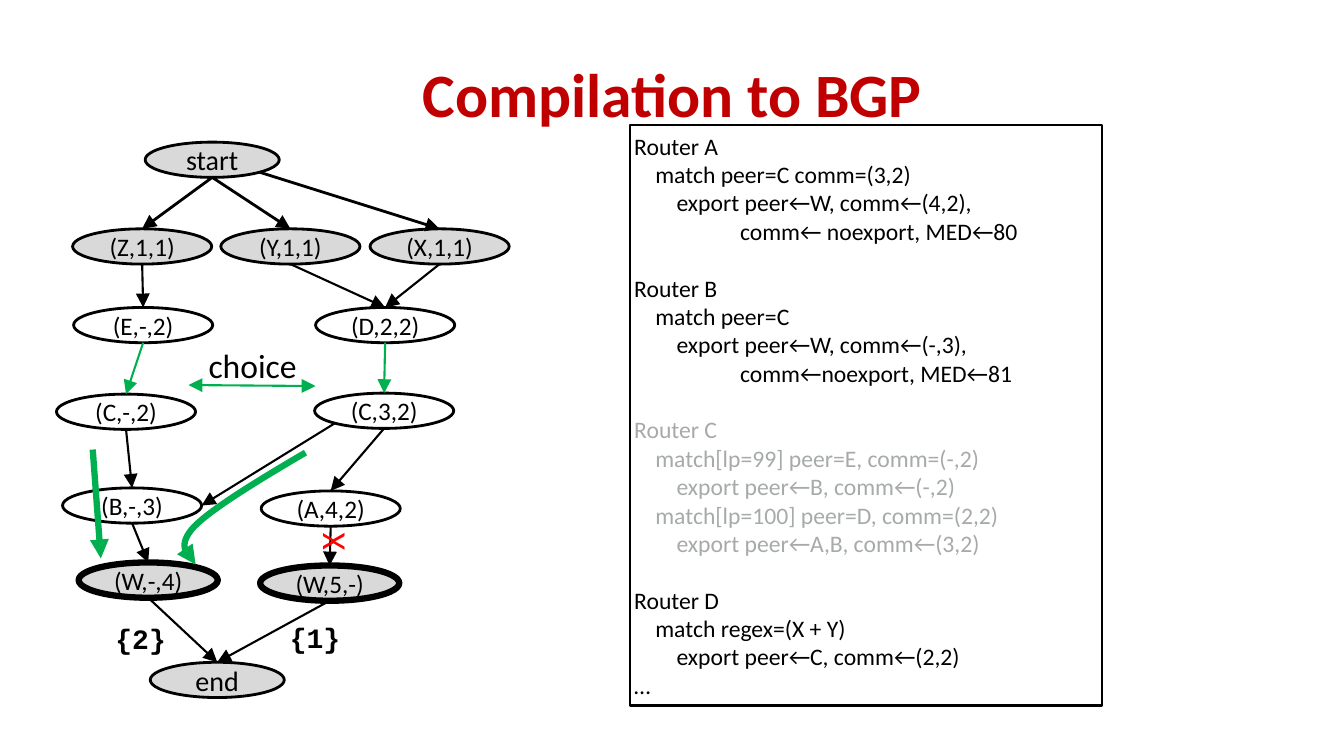
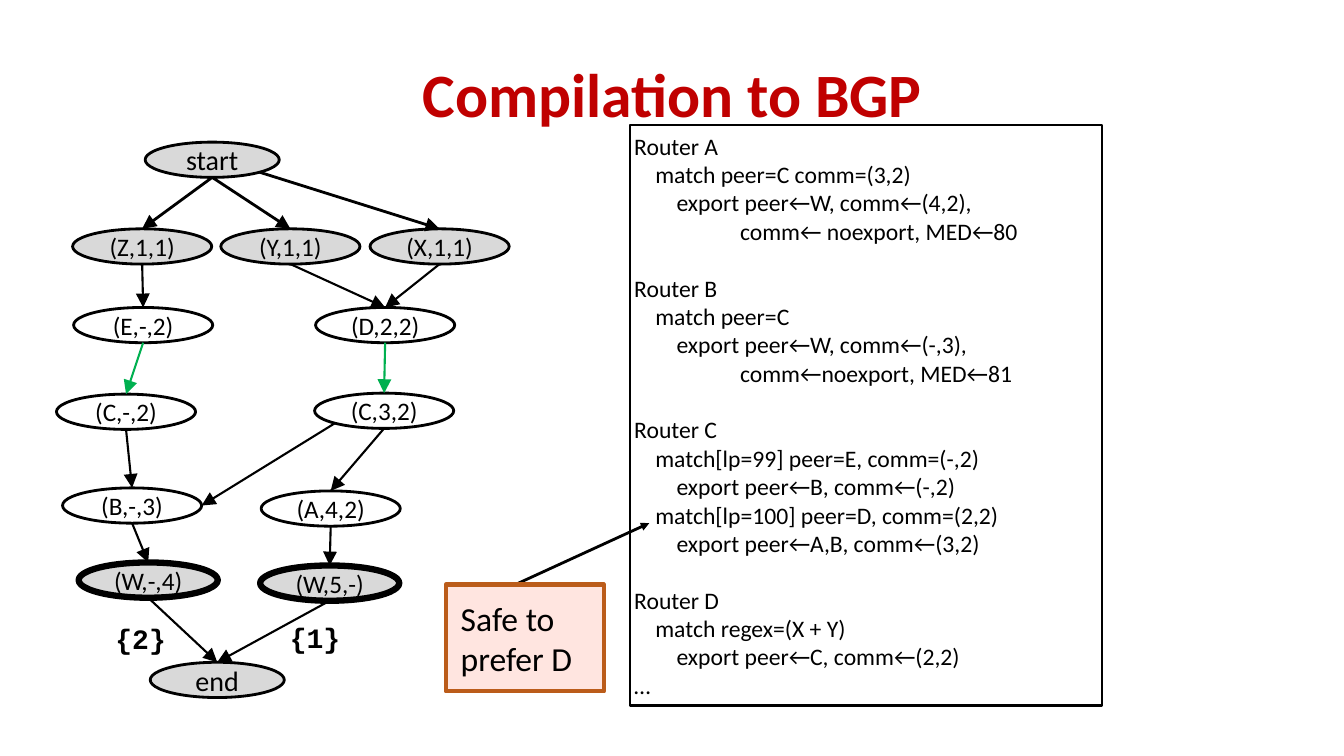
from math import sqrt

from lxml import etree
from pptx import Presentation
from pptx.dml.color import RGBColor
from pptx.enum.shapes import MSO_CONNECTOR, MSO_SHAPE
from pptx.enum.text import MSO_ANCHOR, PP_ALIGN
from pptx.oxml.ns import qn
from pptx.util import Inches, Pt

STRAIGHT = MSO_CONNECTOR.STRAIGHT
OVAL, RECTANGLE = MSO_SHAPE.OVAL, MSO_SHAPE.RECTANGLE
MIDDLE = MSO_ANCHOR.MIDDLE
LEFT, CENTER = PP_ALIGN.LEFT, PP_ALIGN.CENTER

BLACK = RGBColor(0x00, 0x00, 0x00)
WHITE = RGBColor(0xFF, 0xFF, 0xFF)
TITLE_RED = RGBColor(0xC0, 0x00, 0x00)
CROSS_RED = RGBColor(0xFF, 0x00, 0x00)
GREEN = RGBColor(0x00, 0xB0, 0x50)
NODE_GREY = RGBColor(0xD9, 0xD9, 0xD9)
DIMMED = RGBColor(0xA6, 0xAA, 0xA9)
NOTE_FILL = RGBColor(0xFF, 0xE5, 0xE0)
NOTE_LINE = RGBColor(0xBB, 0x5C, 0x1A)

SANS, MONO = "Calibri", "Courier New"
TITLE = "Compilation to BGP"

# Router heading, then (indent level, line)
ROUTERS = [
    ("Router A", [(1, "match peer=C comm=(3,2)"),
                  (2, "export peer←W, comm←(4,2),"),
                  (5, "comm← noexport, MED←80")]),
    ("Router B", [(1, "match peer=C"),
                  (2, "export peer←W, comm←(-,3),"),
                  (5, "comm←noexport, MED←81")]),
    ("Router C", [(1, "match[lp=99] peer=E, comm=(-,2)"),
                  (2, "export peer←B, comm←(-,2)"),
                  (1, "match[lp=100] peer=D, comm=(2,2)"),
                  (2, "export peer←A,B, comm←(3,2)")]),
    ("Router D", [(1, "match regex=(X + Y)"),
                  (2, "export peer←C, comm←(2,2)"),
                  (0, "…")]),
]
CODE_SIZE, CODE_LINE, INDENT = 16.9, 20.3, 0.21

# Label: (left, top, fill, outline width)
NODES = {
    "start": (1.44, 1.41, NODE_GREY, 2),
    "(Z,1,1)": (0.72, 2.27, NODE_GREY, 2),
    "(Y,1,1)": (2.19, 2.27, NODE_GREY, 2),
    "(X,1,1)": (3.67, 2.27, NODE_GREY, 2),
    "(E,-,2)": (0.73, 3.05, WHITE, 2),
    "(D,2,2)": (3.13, 3.05, WHITE, 2),
    "(C,-,2)": (0.56, 3.91, WHITE, 2),
    "(C,3,2)": (3.12, 3.9, WHITE, 2),
    "(B,-,3)": (0.62, 4.84, WHITE, 2),
    "(A,4,2)": (2.59, 4.87, WHITE, 2),
    "(W,-,4)": (0.78, 5.58, NODE_GREY, 4.5),
    "(W,5,-)": (2.58, 5.61, NODE_GREY, 4.5),
    "end": (1.49, 6.57, NODE_GREY, 2),
}
TERMINALS = ("start", "end")
NODE_HEIGHT = 0.35

# Connection sites of an oval: index and direction from its centre
DIAGONAL = sqrt(0.5)
SITES = {
    "top": (0, 0, -1),
    "lower left": (3, -DIAGONAL, DIAGONAL),
    "bottom": (4, 0, 1),
    "lower right": (5, DIAGONAL, DIAGONAL),
    "right": (6, 1, 0),
}
EDGES = [
    ("start", "(X,1,1)", "lower right", "top", BLACK, 2),
    ("start", "(Y,1,1)", "bottom", "top", BLACK, 2),
    ("start", "(Z,1,1)", "bottom", "top", BLACK, 2),
    ("(Z,1,1)", "(E,-,2)", "bottom", "top", BLACK, 1.5),
    ("(X,1,1)", "(D,2,2)", "bottom", "top", BLACK, 1.5),
    ("(Y,1,1)", "(D,2,2)", "bottom", "top", BLACK, 1.5),
    ("(E,-,2)", "(C,-,2)", "bottom", "top", GREEN, 1.5),
    ("(C,3,2)", "(B,-,3)", "lower left", "right", BLACK, 1.5),
    ("(D,2,2)", "(C,3,2)", "bottom", "top", GREEN, 1.5),
    ("(C,-,2)", "(B,-,3)", "bottom", "top", BLACK, 1.5),
    ("(B,-,3)", "(W,-,4)", "bottom", "top", BLACK, 1.5),
    ("(C,3,2)", "(A,4,2)", "bottom", "top", BLACK, 1.5),
    ("(A,4,2)", "(W,5,-)", "bottom", "top", BLACK, 1.5),
    ("(W,-,4)", "end", "bottom", "top", BLACK, 1.5),
    ("(W,5,-)", "end", "bottom", "top", BLACK, 1.5),
]
RANKS = [("{2}", 0.97, 6.13), ("{1}", 2.7, 6.12)]

# Bézier pieces of the route from (C,3,2) through (B,-,3)
ROUTE = [
    [(3.03, 4.49), (2.57, 4.76), (2.11, 5.04), (1.93, 5.22)],
    [(1.93, 5.22), (1.75, 5.41), (1.85, 5.5), (1.94, 5.6)],
]
ROUTE_STEPS = 16


def format_paragraph(paragraph, size, color=BLACK, font=SANS, bold=False, align=CENTER):
    paragraph.alignment = align
    for run in paragraph.runs:
        run.font.size = Pt(size)
        run.font.name = font
        run.font.bold = bold
        run.font.color.rgb = color


def set_margins(frame, margin):
    frame.margin_left = frame.margin_right = Inches(margin)
    frame.margin_top = frame.margin_bottom = Inches(margin)


def add_box(slide, kind, box, fill, line, width):
    shape = slide.shapes.add_shape(kind, *map(Inches, box))
    shape.shadow.inherit = False
    if fill is None:
        shape.fill.background()
    else:
        shape.fill.solid()
        shape.fill.fore_color.rgb = fill
    shape.line.color.rgb = line
    shape.line.width = Pt(width)
    shape.text_frame.vertical_anchor = MIDDLE
    return shape


def add_label(slide, text, box, size, **style):
    label = slide.shapes.add_textbox(*map(Inches, box))
    label.text_frame.text = text
    format_paragraph(label.text_frame.paragraphs[0], size, **style)
    return label


def style_arrow(arrow, color, width, ends=("tailEnd",), head="lg"):
    """Colour a line and put triangles on the given ends."""
    arrow.line.color.rgb = color
    arrow.line.width = Pt(width)
    outline = arrow.element.spPr.find(qn("a:ln"))
    for end in ends:
        etree.SubElement(outline, qn("a:" + end), type="triangle", w=head, len=head)


def add_arrow(slide, start, finish, color, width, **style):
    arrow = slide.shapes.add_connector(STRAIGHT, *map(Inches, (*start, *finish)))
    style_arrow(arrow, color, width, **style)
    etree.SubElement(arrow.element.spPr, qn("a:effectLst"))
    return arrow


def node_width(label):
    return 1.33 if label in TERMINALS else 1.38


def site_point(label, site):
    left, top = NODES[label][:2]
    _, across, down = SITES[site]
    half_width, half_height = node_width(label) / 2, NODE_HEIGHT / 2
    return left + half_width * (1 + across), top + half_height * (1 + down)


def add_graph(slide):
    for text, left, top in RANKS:
        rank = add_label(slide, text, (left, top, 0.85, 0.37), 20, font=MONO, bold=True)
        set_margins(rank.text_frame, 0.04)
    ovals = {}
    for label, (left, top, fill, outline) in NODES.items():
        box = (left, top, node_width(label), NODE_HEIGHT)
        oval = add_box(slide, OVAL, box, fill, BLACK, outline)
        oval.text_frame.text = label
        format_paragraph(oval.text_frame.paragraphs[0], 20 if label in TERMINALS else 18)
        ovals[label] = oval
    for source, target, leave, enter, color, width in EDGES:
        edge = add_arrow(slide, site_point(source, leave), site_point(target, enter),
                         color, width)
        glue = edge.element.nvCxnSpPr.cNvCxnSpPr
        for tag, node, site in (("a:stCxn", source, leave), ("a:endCxn", target, enter)):
            etree.SubElement(glue, qn(tag), id=str(ovals[node].shape_id),
                             idx=str(SITES[site][0]))


def add_config(slide, dimmed_router=None):
    panel = add_box(slide, RECTANGLE, (6.25, 1.24, 4.68, 5.76), None, BLACK, 1.5)
    frame = panel.text_frame
    set_margins(frame, 0.04)
    for number, (router, rules) in enumerate(ROUTERS):
        color = DIMMED if router == dimmed_router else BLACK
        for level, text in [(0, router), *rules]:
            first = text == ROUTERS[0][0]
            paragraph = frame.paragraphs[0] if first else frame.add_paragraph()
            paragraph.text = text
            format_paragraph(paragraph, CODE_SIZE, color, align=LEFT)
            properties = paragraph._p.get_or_add_pPr()
            properties.set("marL", str(Inches(level * INDENT)))
            properties.set("indent", "0")
            if text == router and number:
                paragraph.space_before = Pt(CODE_LINE)


def bezier_point(controls, t):
    weights = ((1 - t) ** 3, 3 * t * (1 - t) ** 2, 3 * t ** 2 * (1 - t), t ** 3)
    return tuple(Inches(sum(w * point[axis] for w, point in zip(weights, controls)))
                 for axis in (0, 1))


def add_choice(slide):
    """Mark the two routes that C can choose between."""
    add_arrow(slide, (3.13, 3.83), (1.87, 3.82), GREEN, 1.5, ends=("headEnd", "tailEnd"))
    add_label(slide, "choice", (1.97, 3.37, 1.14, 0.5), 24, align=LEFT)
    cross = add_label(slide, "X", (3.11, 5.13, 0.35, 0.5), 24, color=CROSS_RED)
    cross.rotation = 270
    add_arrow(slide, (0.92, 4.46), (1, 5.54), GREEN, 4.5, head="med")
    points = [bezier_point(piece, step / ROUTE_STEPS)
              for piece in ROUTE for step in range(1, ROUTE_STEPS + 1)]
    builder = slide.shapes.build_freeform(*bezier_point(ROUTE[0], 0))
    builder.add_line_segments(points, close=False)
    route = builder.convert_to_shape()
    route.fill.background()
    style_arrow(route, GREEN, 4.5, head="med")
    route.shadow.inherit = False


def add_note(slide):
    add_arrow(slide, (5.11, 5.8), (6.44, 5.19), BLACK, 2, head="med")
    note = add_box(slide, RECTANGLE, (4.42, 5.8, 1.57, 1.06), NOTE_FILL, NOTE_LINE, 3)
    note.text_frame.margin_left = Inches(0.15)
    note.text_frame.text = "Safe to prefer D"
    note.text_frame.word_wrap = True
    format_paragraph(note.text_frame.paragraphs[0], 24, align=LEFT)


def add_slide(presentation, dimmed_router=None):
    slide = presentation.slides.add_slide(presentation.slide_layouts[5])
    title = slide.shapes.title
    title.left, title.top, title.width, title.height = map(Inches, (0.67, 0.3, 12, 1.25))
    title.text_frame.text = TITLE
    title.text_frame.vertical_anchor = MIDDLE
    format_paragraph(title.text_frame.paragraphs[0], 44, TITLE_RED, bold=True)
    add_config(slide, dimmed_router)
    return slide


def main():
    presentation = Presentation()
    presentation.slide_width, presentation.slide_height = Inches(13.33), Inches(7.5)

    choice_slide = add_slide(presentation, dimmed_router="Router C")
    add_graph(choice_slide)
    add_choice(choice_slide)

    preference_slide = add_slide(presentation)
    add_note(preference_slide)
    add_graph(preference_slide)

    presentation.save("out.pptx")


if __name__ == "__main__":
    main()
